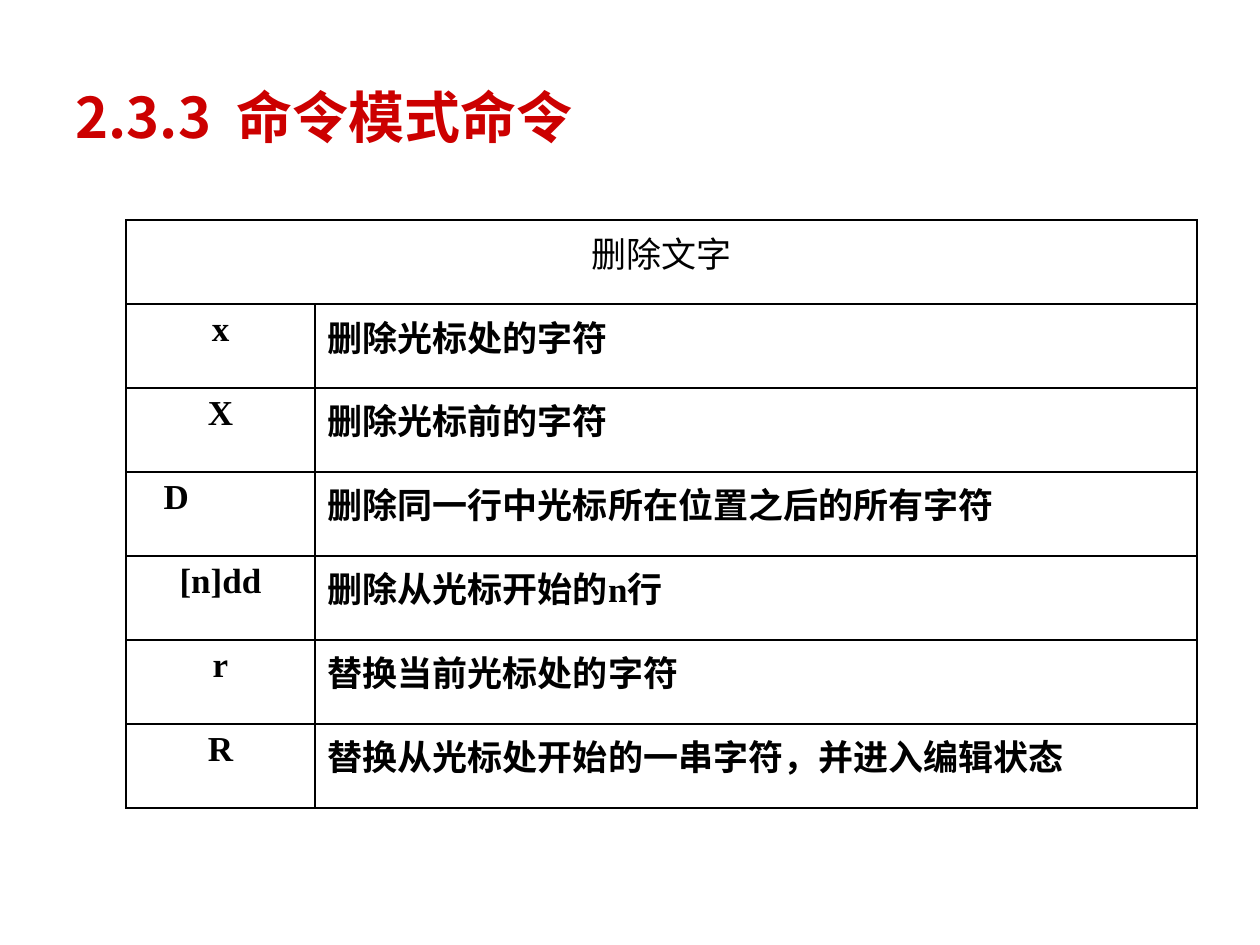
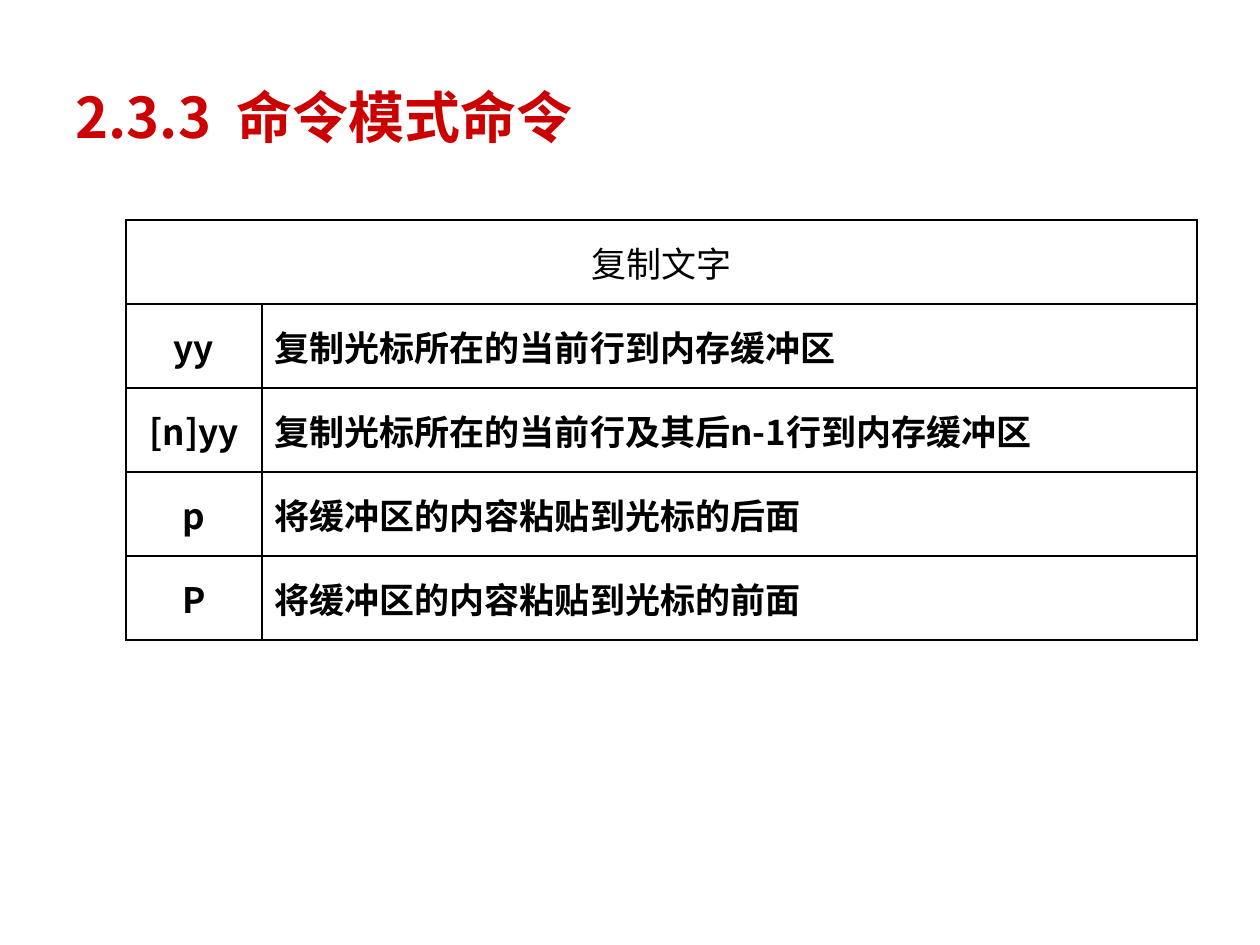
"""Build two slides with tables of command-mode commands."""
from lxml.etree import SubElement
from pptx import Presentation
from pptx.dml.color import RGBColor
from pptx.enum.text import MSO_ANCHOR, PP_ALIGN
from pptx.oxml import parse_xml
from pptx.oxml.ns import nsdecls, qn
from pptx.util import Pt

PX = 914400 / 126
COLORS = {"title": "CC0000", "text": "000000", "border": "000000"}
SANS, SERIF = "Noto Sans CJK SC", "Times New Roman"
TITLE = "2.3.3  命令模式命令"
TABLE_LEFT, TABLE_TOP, TABLE_WIDTH, ROW_HEIGHT = 126, 220, 1071, 84
HANGING_INDENT, SHIFTED_KEY_INDENT = 48, 25

COMMAND_TABLES = [
    {
        "heading": "删除文字",
        "key_width": 189,
        "body_font": SERIF,
        "anchor": MSO_ANCHOR.TOP,
        "shifted_key": "D",
        "commands": [
            ("x", "删除光标处的字符"),
            ("X", "删除光标前的字符"),
            ("D", "删除同一行中光标所在位置之后的所有字符"),
            ("[n]dd", "删除从光标开始的n行"),
            ("r", "替换当前光标处的字符"),
            ("R", "替换从光标处开始的一串字符，并进入编辑状态"),
        ],
    },
    {
        "heading": "复制文字",
        "key_width": 136,
        "body_font": SANS,
        "anchor": MSO_ANCHOR.MIDDLE,
        "shifted_key": None,
        "commands": [
            ("yy", "复制光标所在的当前行到内存缓冲区"),
            ("[n]yy", "复制光标所在的当前行及其后n-1行到内存缓冲区"),
            ("p", "将缓冲区的内容粘贴到光标的后面"),
            ("P", "将缓冲区的内容粘贴到光标的前面"),
        ],
    },
]


def px(length):
    return round(length * PX)


def style_paragraph(paragraph, font_name, size, color, bold, alignment, indent=0, first_line=0):
    paragraph.alignment = alignment
    font = paragraph.font
    font.name, font.size, font.bold = font_name, Pt(size), bold
    font.color.rgb = RGBColor.from_string(color)
    properties = paragraph._p.get_or_add_pPr()
    properties.set("marL", str(px(indent)))
    properties.set("indent", str(px(first_line)))
    SubElement(properties.find(qn("a:defRPr")), qn("a:ea"), typeface=SANS)


presentation = Presentation()
presentation.slide_width, presentation.slide_height = px(1260), px(945)

for content in COMMAND_TABLES:
    slide = presentation.slides.add_slide(presentation.slide_layouts[5])
    title = slide.shapes.title
    title.left, title.top, title.width, title.height = px(63), px(38), px(1134), px(157)
    title.text_frame.text = TITLE
    title.text_frame.vertical_anchor = MSO_ANCHOR.MIDDLE
    style_paragraph(title.text_frame.paragraphs[0], SANS, 32, COLORS["title"], True, PP_ALIGN.LEFT)

    rows = [(content["heading"], "")] + content["commands"]
    table = slide.shapes.add_table(
        len(rows), 2, px(TABLE_LEFT), px(TABLE_TOP), px(TABLE_WIDTH), px(ROW_HEIGHT * len(rows))
    ).table
    table.first_row = table.horz_banding = False
    table.columns[0].width = px(content["key_width"])
    table.columns[1].width = px(TABLE_WIDTH - content["key_width"])
    table.cell(0, 0).merge(table.cell(0, 1))

    for row_index, row in enumerate(rows):
        table.rows[row_index].height = px(ROW_HEIGHT)
        for column_index, text in enumerate(row):
            cell = table.cell(row_index, column_index)
            cell.fill.background()
            cell.vertical_anchor = content["anchor"]
            for position, side in enumerate(("lnL", "lnR", "lnT", "lnB")):
                border = parse_xml(
                    f'<a:{side} {nsdecls("a")} w="{Pt(1)}"><a:solidFill>'
                    f'<a:srgbClr val="{COLORS["border"]}"/></a:solidFill></a:{side}>'
                )
                cell._tc.get_or_add_tcPr().insert(position, border)
            if cell.is_spanned:
                continue
            cell.text_frame.text = text
            is_heading = row_index == 0
            alignment = PP_ALIGN.CENTER if column_index == 0 else PP_ALIGN.LEFT
            indent, first_line = HANGING_INDENT, -HANGING_INDENT
            if text == content["shifted_key"]:
                alignment, indent, first_line = PP_ALIGN.LEFT, SHIFTED_KEY_INDENT, 0
            style_paragraph(
                cell.text_frame.paragraphs[0],
                SERIF if is_heading else content["body_font"],
                20, COLORS["text"], not is_heading, alignment, indent, first_line,
            )

presentation.save("out.pptx")
